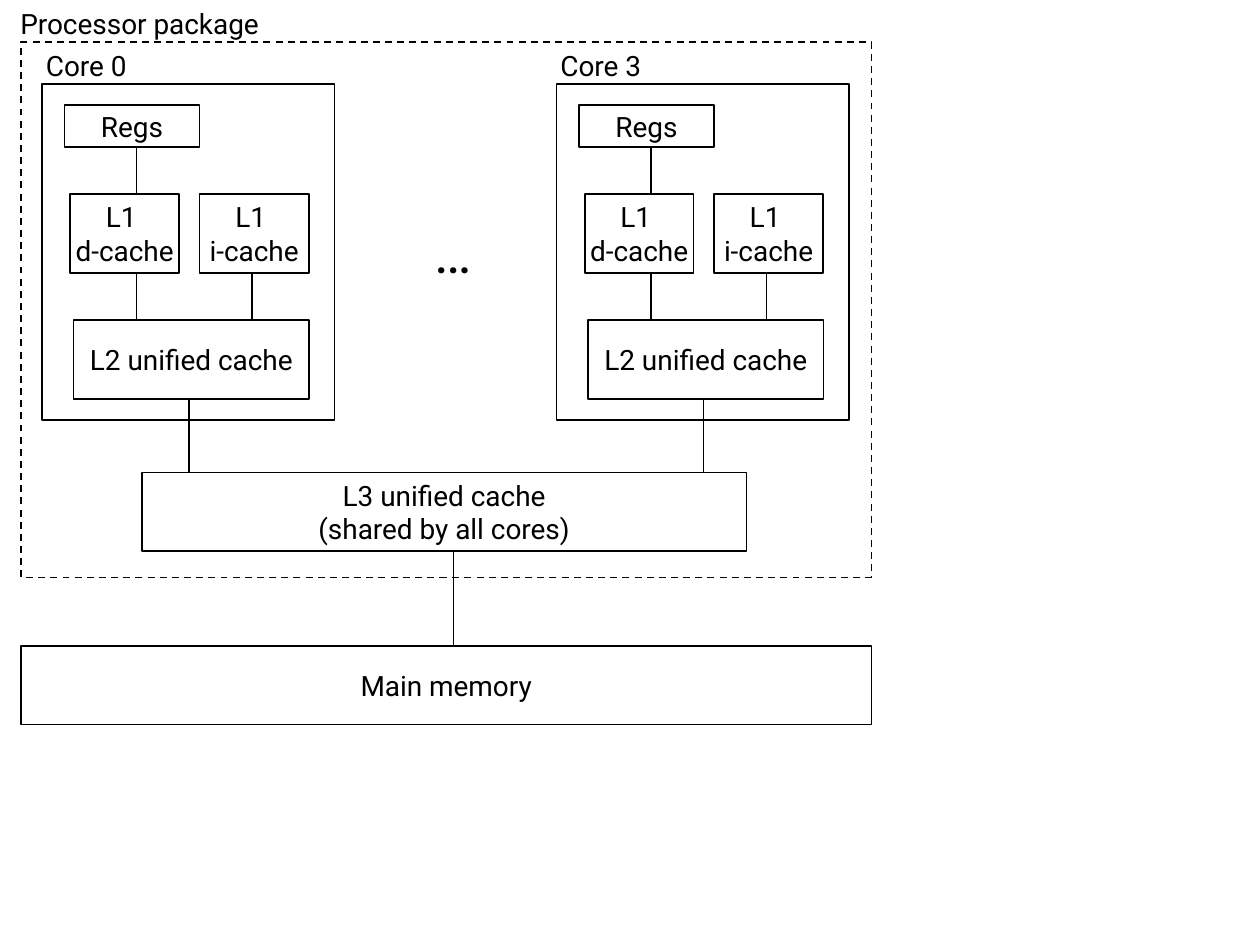
from lxml import etree
from pptx import Presentation
from pptx.dml.color import RGBColor
from pptx.enum.dml import MSO_LINE
from pptx.enum.shapes import MSO_CONNECTOR, MSO_SHAPE
from pptx.enum.text import MSO_ANCHOR, MSO_AUTO_SIZE, PP_ALIGN
from pptx.oxml.ns import qn
from pptx.util import Inches, Pt

RECT, STRAIGHT = MSO_SHAPE.RECTANGLE, MSO_CONNECTOR.STRAIGHT
DASH, CENTER = MSO_LINE.DASH, PP_ALIGN.CENTER
TOP, MIDDLE = MSO_ANCHOR.TOP, MSO_ANCHOR.MIDDLE
GROW = MSO_AUTO_SIZE.SHAPE_TO_FIT_TEXT

COLORS = {"ink": "000000", "paper": "FFFFFF"}
FONT = "Roboto"
CELL = 1 / 24          # grid cell in inches: the slide is 240 x 180 cells
CACHE_H = 15           # rows in a cache or memory box
LABEL_H = 8.9          # rows in a caption


def grid(*cells):
    return [Inches(c * CELL) for c in cells]


def color(name):
    return RGBColor.from_string(COLORS[name])


def write(sp, text, size=16, anchor=MIDDLE, wrap=True):
    """Put text into a shape, one centred paragraph for each line."""
    tf = sp.text_frame
    tf.word_wrap = wrap
    tf.vertical_anchor = anchor
    for i, line in enumerate(text.split("\n")):
        p = tf.paragraphs[0] if i == 0 else tf.add_paragraph()
        p.alignment = CENTER
        r = p.add_run()
        r.text = line
        r.font.name, r.font.size = FONT, Pt(size)
        r.font.color.rgb = color("ink")


def frame(s, x, y, w, h, dash=None):
    """Draw an unfilled outline."""
    sp = s.shapes.add_shape(RECT, *grid(x, y, w, h))
    sp.shadow.inherit = False
    sp.fill.background()
    sp.line.color.rgb, sp.line.width = color("ink"), Pt(1)
    if dash:
        sp.line.dash_style = dash
    return sp


def block(s, x, y, w, h, text, **fmt):
    """Draw a filled, labelled box."""
    sp = frame(s, x, y, w, h)
    sp.fill.solid()
    sp.fill.fore_color.rgb = color("paper")
    write(sp, text, **fmt)


def caption(s, x, y, w, h, text, **fmt):
    sp = s.shapes.add_textbox(*grid(x, y, w, h))
    write(sp, text, anchor=TOP, wrap=False, **fmt)
    sp.text_frame.auto_size = GROW


def bus(s, x, top, bottom):
    """Draw a vertical connection."""
    line = s.shapes.add_connector(STRAIGHT, *grid(x, top, x, bottom))
    line.line.color.rgb, line.line.width = color("ink"), Pt(1)
    etree.SubElement(line._element.spPr, qn("a:effectLst"))


def core(s, x, y, w, h, name):
    regs, l1, l2 = y + 4, y + 21, y + 45
    d_bus, i_bus = x + 18, x + 40
    block(s, x + 4.3, regs, 25.7, 8, "Regs", wrap=False)
    block(s, x + 5.4, l1, 20.7, CACHE_H, "L1 \nd-cache", wrap=False)
    block(s, x + 30, l1, 20.8, CACHE_H, "L1 \ni-cache", wrap=False)
    block(s, x + 6, l2, 44.9, CACHE_H, "L2 unified cache")
    bus(s, d_bus, regs + 8, l1)
    for bus_x in (d_bus, i_bus):
        bus(s, bus_x, l1 + CACHE_H, l2)
    frame(s, x, y, w, h)
    caption(s, x - 2, y - 8, 20.9, LABEL_H, name)


def package(s, x, y, w, h):
    """Draw the cores, their shared cache and the dashed outline."""
    cores = {"Core 0": x + 4, "Core 3": x + 102}
    core_y, l3 = y + 8, y + 82
    for name, core_x in cores.items():
        core(s, core_x, core_y, 55.7, 64, name)
    caption(s, x + 74.5, y + 32.3, 15.6, 15.1, "…", size=32)
    for core_x in cores.values():
        bus(s, core_x + 28, core_y + 60, l3)
    block(s, x + 23, l3, 115.2, CACHE_H,
          "L3 unified cache\n(shared by all cores)")
    frame(s, x, y, w, h, dash=DASH)
    caption(s, x - 2.6, y - 8, 50.4, LABEL_H, "Processor package")


def main():
    prs = Presentation()
    prs.slide_width, prs.slide_height = grid(240, 180)
    s = prs.slides.add_slide(prs.slide_layouts[6])
    left, width, memory = 4, 162, 123
    block(s, left, memory, width, CACHE_H, "Main memory")
    bus(s, 86.4, 105, memory)
    package(s, left, 8, width, 102)
    prs.save("out.pptx")


if __name__ == "__main__":
    main()
